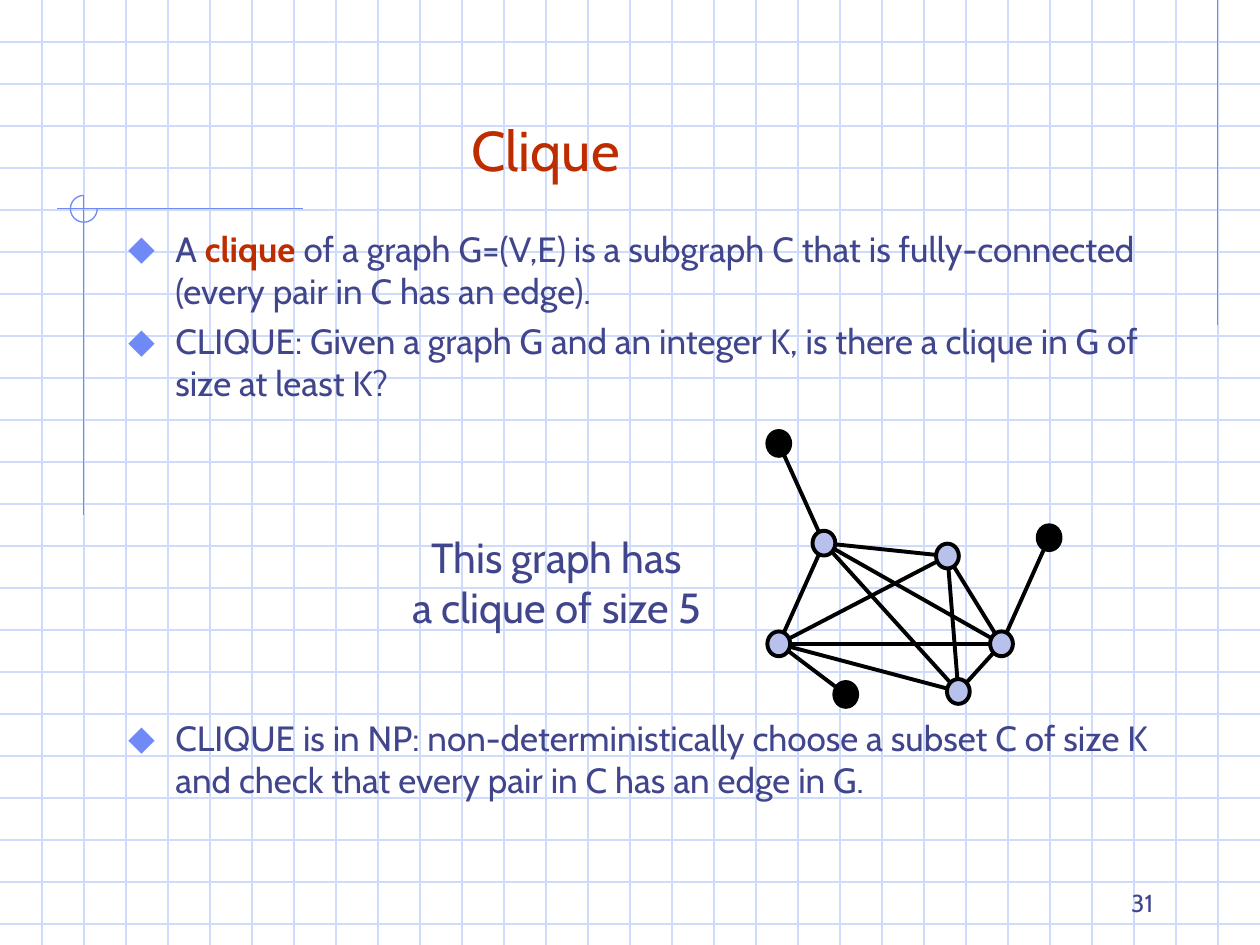
from itertools import combinations

from lxml import etree
from pptx import Presentation
from pptx import util as u
from pptx.dml.color import RGBColor
from pptx.enum import shapes, text
from pptx.oxml.ns import qn

GRID = RGBColor(0xCF, 0xDB, 0xFD)
ACCENT = RGBColor(0x6F, 0x89, 0xF7)
INK = RGBColor(0x40, 0x45, 0x8C)
RED = RGBColor(0xBE, 0x2D, 0x00)
BLACK = RGBColor(0, 0, 0)
NODE = RGBColor(0xB7, 0xC1, 0xEB)

prs = Presentation()
prs.slide_width, prs.slide_height = u.Cm(25.4), u.Cm(19.05)
s = prs.slides.add_slide(prs.slide_layouts[1])


def line(x1, y1, x2, y2, color, width=0.75):
    """Draw a shadowless straight line between two points in centimetres."""
    ends = [u.Cm(v) for v in (x1, y1, x2, y2)]
    sp = s.shapes.add_connector(shapes.MSO_CONNECTOR.STRAIGHT, *ends)
    sp.line.color.rgb = color
    sp.line.width = u.Pt(width)
    etree.SubElement(sp.element.spPr, qn("a:effectLst"))


def write(p, runs, size, align=text.PP_ALIGN.LEFT):
    """Fill a paragraph with (string, colour, bold) runs."""
    p.alignment = align
    for words, color, bold in runs:
        r = p.add_run()
        r.text = words
        for name, value in {"name": "Cabin", "size": u.Pt(size), "bold": bold}.items():
            setattr(r.font, name, value)
        r.font.color.rgb = color


# Squared paper and margin rules
step = 25.4 / 30
for i in range(1, 23):
    line(0, i * step, 25.4, i * step, GRID)
for i in range(1, 30):
    line(i * step, 0, i * step, 19.05, GRID)
line(24.55, 0, 24.55, 6.55, ACCENT)
line(6.1, 4.2, 1.14, 4.2, ACCENT)
line(1.69, 3.94, 1.69, 10.39, ACCENT)

arc = s.shapes.add_shape(shapes.MSO_SHAPE.ARC, u.Cm(1.42), u.Cm(3.94), u.Cm(0.54), u.Cm(0.54))
arc.adjustments[0], arc.adjustments[1] = 0, 162
arc.shadow.inherit = False
arc.fill.background()
arc.line.color.rgb = ACCENT
arc.line.width = u.Pt(0.75)

# Title and body, brought in front of the squared paper
title, body = s.shapes.title, s.placeholders[1]
for sp, box, anchor in (
    (title, (1.9, 0.64, 18.2, 3.18), text.MSO_ANCHOR.BOTTOM),
    (body, (2.33, 4.45, 21.59, 12.28), text.MSO_ANCHOR.TOP),
):
    for name, value in zip(("left", "top", "width", "height"), box):
        setattr(sp, name, u.Cm(value))
    sp.text_frame.auto_size = text.MSO_AUTO_SIZE.NONE
    sp.text_frame.vertical_anchor = anchor
    s.shapes.element.append(sp.element)

write(title.text_frame.paragraphs[0], [("Clique", RED, False)], 32, text.PP_ALIGN.CENTER)

# The last bullet's space before leaves room for the graph
bullets = [
    (0, [("A ", INK, False), ("clique", RED, True),
         (" of a graph G=(V,E) is a subgraph C that is fully-connected "
          "(every pair in C has an edge).", INK, False)]),
    (5, [("CLIQUE: Given a graph G and an integer K, is there a clique in G of "
          "size at least K?", INK, False)]),
    (178.5, [("CLIQUE is in NP: non-deterministically choose a subset C of size K "
              "and check that every pair in C has an edge in G.", INK, False)]),
]
tf = body.text_frame
for i, (before, runs) in enumerate(bullets):
    p = tf.add_paragraph() if i else tf.paragraphs[0]
    p.space_before = u.Pt(before)
    pPr = p._p.get_or_add_pPr()
    pPr.set("marL", str(u.Cm(0.95)))
    pPr.set("indent", str(-u.Cm(0.95)))
    clr = etree.SubElement(pPr, qn("a:buClr"))
    etree.SubElement(clr, qn("a:srgbClr"), val=str(ACCENT))
    etree.SubElement(pPr, qn("a:buSzPct"), val="110000")
    etree.SubElement(pPr, qn("a:buFont"), typeface="Cabin")
    etree.SubElement(pPr, qn("a:buChar"), char="⬥")
    write(p, runs, 20)

# Graph: a complete subgraph of five nodes, with three nodes hanging from it
clique = [(16.61, 10.95), (19.1, 11.21), (20.19, 12.98), (19.32, 13.94), (15.7, 12.98)]
pendants = {(15.7, 8.94): clique[0], (21.15, 10.84): clique[2], (17.05, 14): clique[4]}
for start, end in [*combinations(clique, 2), *pendants.items()]:
    line(*start, *end, BLACK, 2.25)

w, h = 0.46, 0.5
for nodes, color in ((pendants, BLACK), (clique, NODE)):
    for x, y in nodes:
        sp = s.shapes.add_shape(shapes.MSO_SHAPE.OVAL, u.Cm(x - w / 2), u.Cm(y - h / 2),
                                u.Cm(w), u.Cm(h))
        sp.shadow.inherit = False
        sp.fill.solid()
        sp.fill.fore_color.rgb = color
        sp.line.color.rgb = BLACK
        sp.line.width = u.Pt(2.25)

# Caption and slide number
for box, lines, size, align, anchor in (
    ((7.72, 10.59, 7.01, 2.29), ["This graph has", "a clique of size 5"], 24,
     text.PP_ALIGN.CENTER, text.MSO_ANCHOR.TOP),
    ((18.21, 17.35, 5.29, 1.27), ["31"], 14, text.PP_ALIGN.RIGHT, text.MSO_ANCHOR.BOTTOM),
):
    tf = s.shapes.add_textbox(*[u.Cm(v) for v in box]).text_frame
    tf.word_wrap = True
    tf.vertical_anchor = anchor
    for i, words in enumerate(lines):
        p = tf.add_paragraph() if i else tf.paragraphs[0]
        write(p, [(words, INK, False)], size, align)

prs.save("out.pptx")
